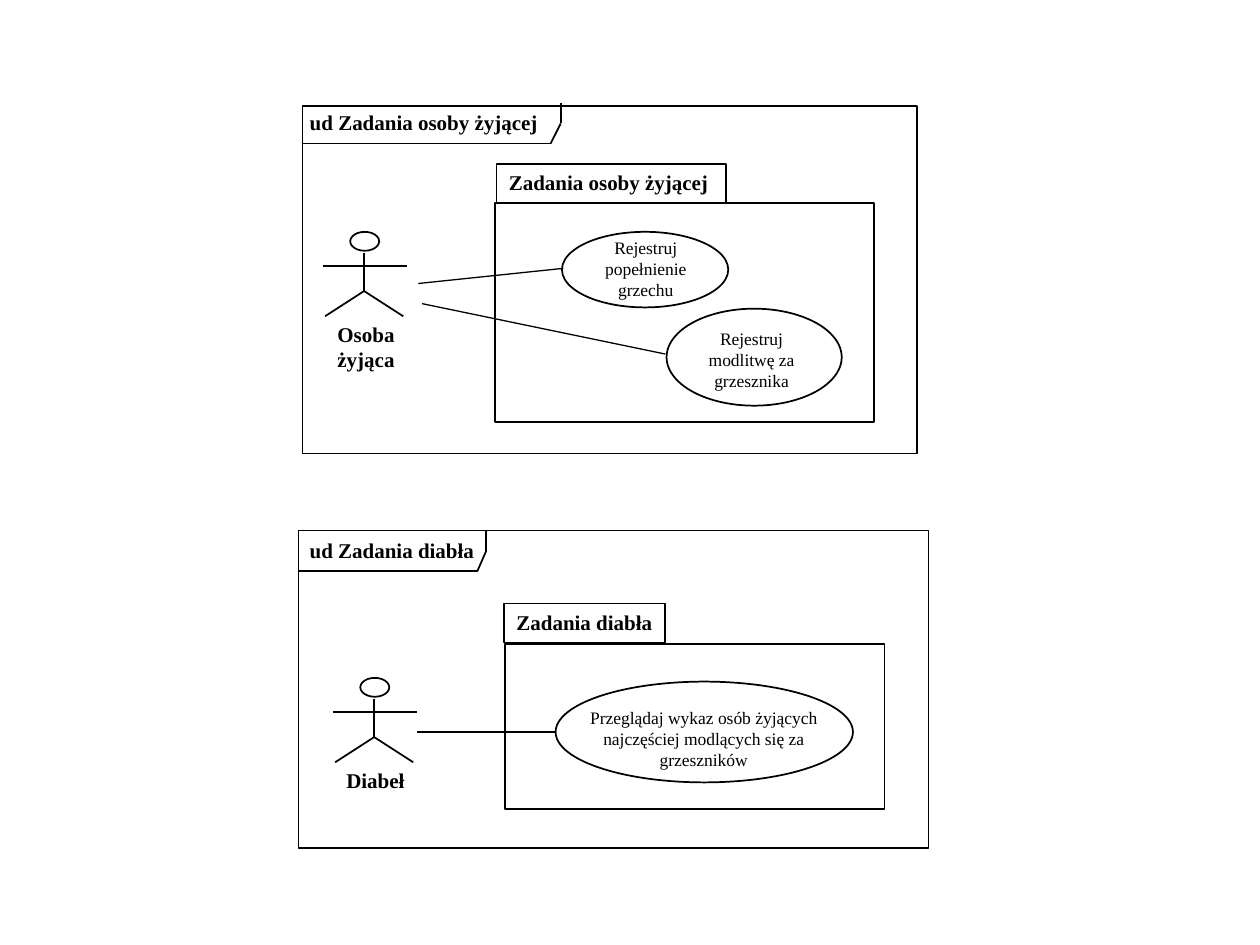
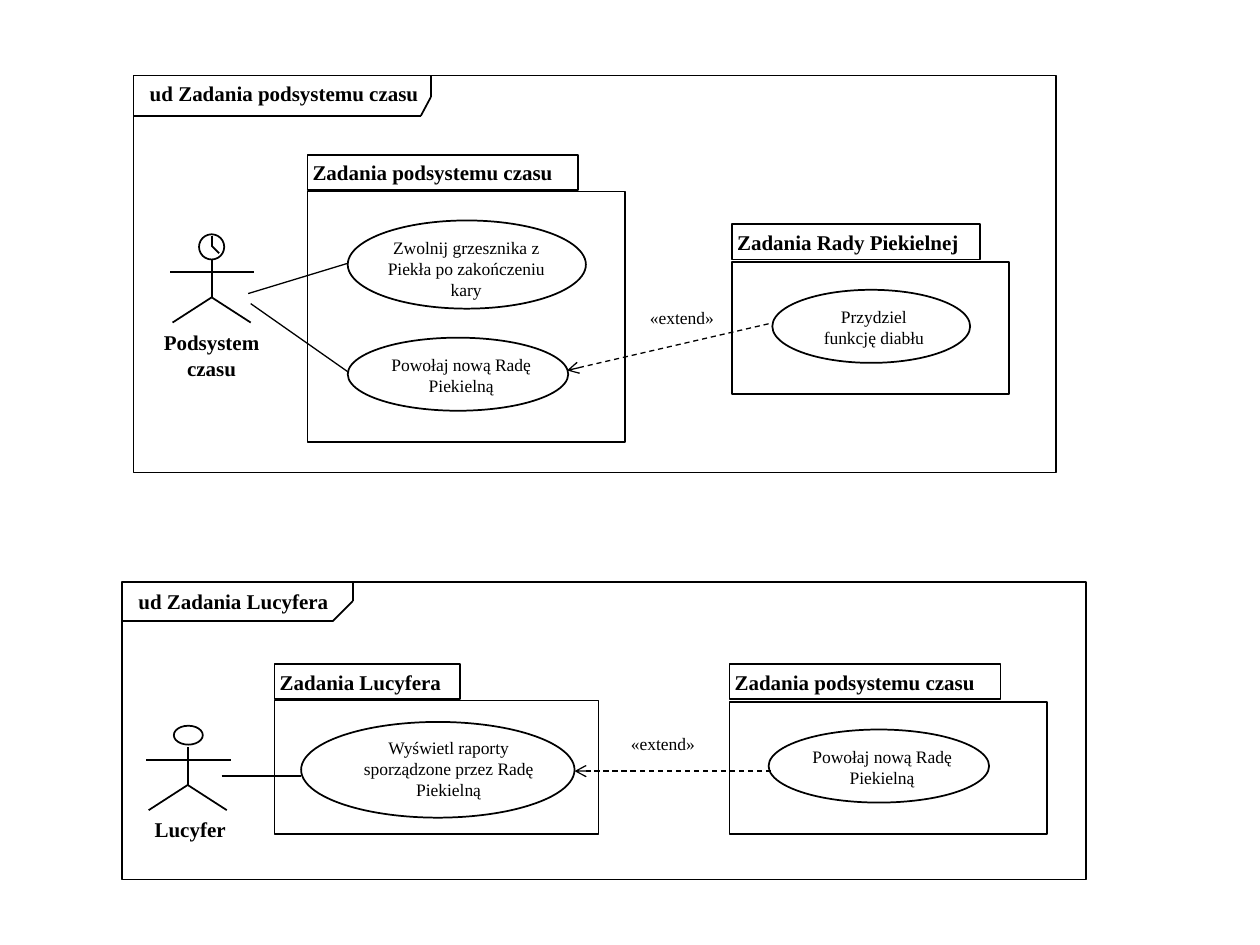
import itertools

import pptx
import pptx.dml.color
import pptx.enum.dml
import pptx.enum.shapes
import pptx.enum.text
import pptx.oxml
import pptx.util
from pptx.util import Inches

COLOURS = {"ink": "000000", "paper": "FFFFFF"}
FONT = "Times New Roman"
RECTANGLE = pptx.enum.shapes.MSO_SHAPE.RECTANGLE
OVAL = pptx.enum.shapes.MSO_SHAPE.OVAL
# Left, top, right and bottom margins, with spare width so that labels stay on one line
LABEL_MARGINS = (0.1, 0.05, 0, 0.05)
NAME_MARGINS = (0.04, 0.05, 0.04, 0.05)
TIGHT_MARGINS = (0.04, 0.04, 0.04, 0.04)
INK = pptx.dml.color.RGBColor.from_string(COLOURS["ink"])
PAPER = pptx.dml.color.RGBColor.from_string(COLOURS["paper"])


def add_box(slide, kind, box, lines=(), size=12, bold=True, centred=False,
            margins=LABEL_MARGINS, wrap=False, filled=False):
    """Add an outlined shape, or a plain text box when kind is None."""
    place = [Inches(length) for length in box]
    if kind is None:
        shape = slide.shapes.add_textbox(*place)
    else:
        shape = slide.shapes.add_shape(kind, *place)
        shape.shadow.inherit = False
        shape.line.color.rgb = INK
        shape.line.width = pptx.util.Pt(1)
        if filled:
            shape.fill.solid()
            shape.fill.fore_color.rgb = PAPER
        else:
            shape.fill.background()
    if not lines:
        return
    frame = shape.text_frame
    frame.word_wrap = wrap
    frame.auto_size = pptx.enum.text.MSO_AUTO_SIZE.SHAPE_TO_FIT_TEXT
    frame.vertical_anchor = pptx.enum.text.MSO_ANCHOR.TOP
    frame.margin_left, frame.margin_top, frame.margin_right, frame.margin_bottom = (
        Inches(margin) for margin in margins)
    for number, line in enumerate(lines):
        paragraph = frame.add_paragraph() if number else frame.paragraphs[0]
        align = pptx.enum.text.PP_ALIGN
        paragraph.alignment = align.CENTER if centred else align.LEFT
        run = paragraph.add_run()
        run.text = line
        run.font.name = FONT
        run.font.size = pptx.util.Pt(size)
        run.font.bold = bold
        run.font.color.rgb = INK


def add_line(slide, start, end, width=1, dashed_arrow=False):
    connector = slide.shapes.add_connector(
        pptx.enum.shapes.MSO_CONNECTOR.STRAIGHT,
        *[Inches(length) for length in (*start, *end)])
    connector.line.color.rgb = INK
    connector.line.width = pptx.util.Pt(width)
    if dashed_arrow:
        connector.line.dash_style = pptx.enum.dml.MSO_LINE.DASH
        outline = connector.line._get_or_add_ln()
        arrow = pptx.oxml.parse_xml(
            '<a:tailEnd xmlns:a="http://schemas.openxmlformats.org/drawingml/2006/main"'
            ' type="arrow"/>')
        outline.append(arrow)
    properties = connector._element.spPr
    properties.append(properties.makeelement(pptx.oxml.ns.qn("a:effectLst"), {}))


# Each diagram: frame, its title and the corner points of the title tag,
# actor (top of the body), packages (tab, body), use cases (oval, text) and links
SLIDES = [
    [
        {
            "frame": (2.4, 0.84, 4.88, 2.76),
            "title": ("ud Zadania osoby żyjącej", (2.36, 0.82, 2.01, 0.3)),
            "tag": [(2.4, 1.14), (4.37, 1.14), (4.45, 0.98), (4.45, 0.82)],
            "actor": (2.89, 2.01),
            "actor_name": (["Osoba", "żyjąca"], (2.58, 2.5, 0.65, 0.5)),
            "tab_margins": LABEL_MARGINS,
            "packages": [("Zadania osoby żyjącej", (3.94, 1.3, 1.82, 0.31),
                          (3.93, 1.61, 3.01, 1.74))],
            "cases": [
                (["Rejestruj", "popełnienie grzechu"],
                 (4.46, 1.84, 1.32, 0.6), (4.58, 1.88, 1.09, 0.5)),
                (["Rejestruj modlitwę za grzesznika"],
                 (5.29, 2.45, 1.39, 0.77), (5.45, 2.6, 1.03, 0.5)),
            ],
            "links": [((3.32, 2.25), (4.47, 2.13)), ((3.35, 2.41), (5.28, 2.81))],
        },
        {
            "frame": (2.37, 4.21, 5, 2.52),
            "title": ("ud Zadania diabła", (2.36, 4.22, 1.5, 0.3)),
            "tag": [(2.37, 4.53), (3.79, 4.53), (3.86, 4.37), (3.86, 4.21)],
            "actor": (2.97, 5.55),
            "actor_name": (["Diabeł"], (2.65, 6.04, 0.66, 0.3)),
            "tab_margins": LABEL_MARGINS,
            "packages": [("Zadania diabła", (4, 4.79, 1.28, 0.31),
                          (4.01, 5.11, 3.01, 1.31))],
            "cases": [
                (["Przeglądaj wykaz osób żyjących najczęściej modlących się za "
                  "grzeszników"], (4.41, 5.41, 2.36, 0.8), (4.63, 5.61, 1.91, 0.5)),
            ],
            "links": [((3.31, 5.81), (4.41, 5.81))],
        },
    ],
    [
        {
            "frame": (1.06, 0.6, 7.32, 3.15),
            "title": ("ud Zadania podsystemu czasu", (1.09, 0.59, 2.33, 0.3)),
            "tag": [(1.06, 0.92), (3.34, 0.92), (3.42, 0.77), (3.42, 0.6)],
            "actor": (1.68, 2.06),
            "clock_head": True,
            "actor_name": (["Podsystem", "czasu"], (1.2, 2.57, 0.96, 0.5)),
            "tab_margins": TIGHT_MARGINS,
            "packages": [
                ("Zadania podsystemu czasu", (2.44, 1.23, 2.15, 0.28),
                 (2.44, 1.52, 2.52, 1.99)),
                ("Zadania Rady Piekielnej", (5.81, 1.78, 1.97, 0.28),
                 (5.81, 2.08, 2.2, 1.05)),
            ],
            "cases": [
                (["Zwolnij grzesznika z Piekła po zakończeniu kary"],
                 (2.76, 1.75, 1.89, 0.7), (2.97, 1.88, 1.46, 0.5)),
                (["Powołaj nową Radę Piekielną"],
                 (2.76, 2.68, 1.75, 0.58), (3, 2.81, 1.32, 0.33)),
                (["Przydziel", "funkcję diabłu"],
                 (6.13, 2.3, 1.57, 0.58), (6.34, 2.43, 1.19, 0.33)),
            ],
            "links": [((1.97, 2.33), (2.76, 2.09)), ((1.99, 2.41), (2.76, 2.95))],
            "extend": ((6.1, 2.57), (4.5, 2.94), (5.06, 2.39, 0.7, 0.27)),
        },
        {
            "frame": (0.97, 4.62, 7.65, 2.36),
            "title": ("ud Zadania Lucyfera", (1, 4.62, 1.71, 0.3)),
            "tag": [(0.97, 4.93), (2.64, 4.93), (2.8, 4.77), (2.8, 4.62)],
            "actor": (1.49, 5.93),
            "actor_name": (["Lucyfer"], (1.13, 6.43, 0.76, 0.3)),
            "tab_margins": TIGHT_MARGINS,
            "packages": [
                ("Zadania Lucyfera", (2.18, 5.27, 1.47, 0.28),
                 (2.18, 5.56, 2.57, 1.06)),
                ("Zadania podsystemu czasu", (5.79, 5.27, 2.15, 0.28),
                 (5.79, 5.57, 2.52, 1.05)),
            ],
            "cases": [
                (["Wyświetl raporty sporządzone przez Radę Piekielną"],
                 (2.39, 5.73, 2.17, 0.76), (2.75, 5.85, 1.62, 0.5)),
                (["Powołaj nową Radę Piekielną"],
                 (6.1, 5.79, 1.75, 0.58), (6.34, 5.92, 1.32, 0.33)),
            ],
            "links": [((1.76, 6.16), (2.39, 6.16))],
            "extend": ((6.12, 6.12), (4.56, 6.12), (4.91, 5.77, 0.7, 0.27)),
        },
    ],
]

# Strokes of the actor and of the clock hands, measured from the top of the body
BODY = [((0, 0), (0, 0.3)), ((-0.33, 0.1), (0.34, 0.1)),
        ((0, 0.3), (0.31, 0.5)), ((0, 0.3), (-0.31, 0.5))]
CLOCK_HANDS = [((0, -0.19), (0, -0.11)), ((0, -0.11), (0.06, -0.05))]

presentation = pptx.Presentation()
presentation.slide_width = Inches(10)
presentation.slide_height = Inches(7.5)

for diagrams in SLIDES:
    slide = presentation.slides.add_slide(presentation.slide_layouts[6])
    for diagram in diagrams:
        # Frame
        add_box(slide, RECTANGLE, diagram["frame"], filled=True)

        # Packages
        for name, tab, body in diagram["packages"]:
            add_box(slide, RECTANGLE, body)
            add_box(slide, RECTANGLE, tab, [name], filled=True, wrap=True,
                    margins=diagram["tab_margins"])

        # Use cases
        for lines, oval, text_box in diagram["cases"]:
            add_box(slide, OVAL, oval)
            add_box(slide, None, text_box, lines, size=10, bold=False, centred=True,
                    margins=(0, 0, 0, 0), wrap=True)

        # Actor
        x, y = diagram["actor"]
        if diagram.get("clock_head"):
            add_box(slide, OVAL, (x - 0.1, y - 0.2, 0.2, 0.2), filled=True)
            strokes = BODY + CLOCK_HANDS
        else:
            add_box(slide, OVAL, (x - 0.11, y - 0.17, 0.23, 0.15))
            strokes = BODY
        for (x1, y1), (x2, y2) in strokes:
            add_line(slide, (x + x1, y + y1), (x + x2, y + y2))
        lines, name_box = diagram["actor_name"]
        add_box(slide, None, name_box, lines, centred=True, margins=NAME_MARGINS)

        # Links from the actor and between use cases
        for start, end in diagram["links"]:
            add_line(slide, start, end, width=0.75)
        if "extend" in diagram:
            start, end, label_box = diagram["extend"]
            add_line(slide, start, end, width=0.75, dashed_arrow=True)
            add_box(slide, None, label_box, ["«extend»"], size=10, bold=False)

        # Title tag
        for start, end in itertools.pairwise(diagram["tag"]):
            add_line(slide, start, end)
        title, title_box = diagram["title"]
        add_box(slide, None, title_box, [title])

presentation.save("out.pptx")
